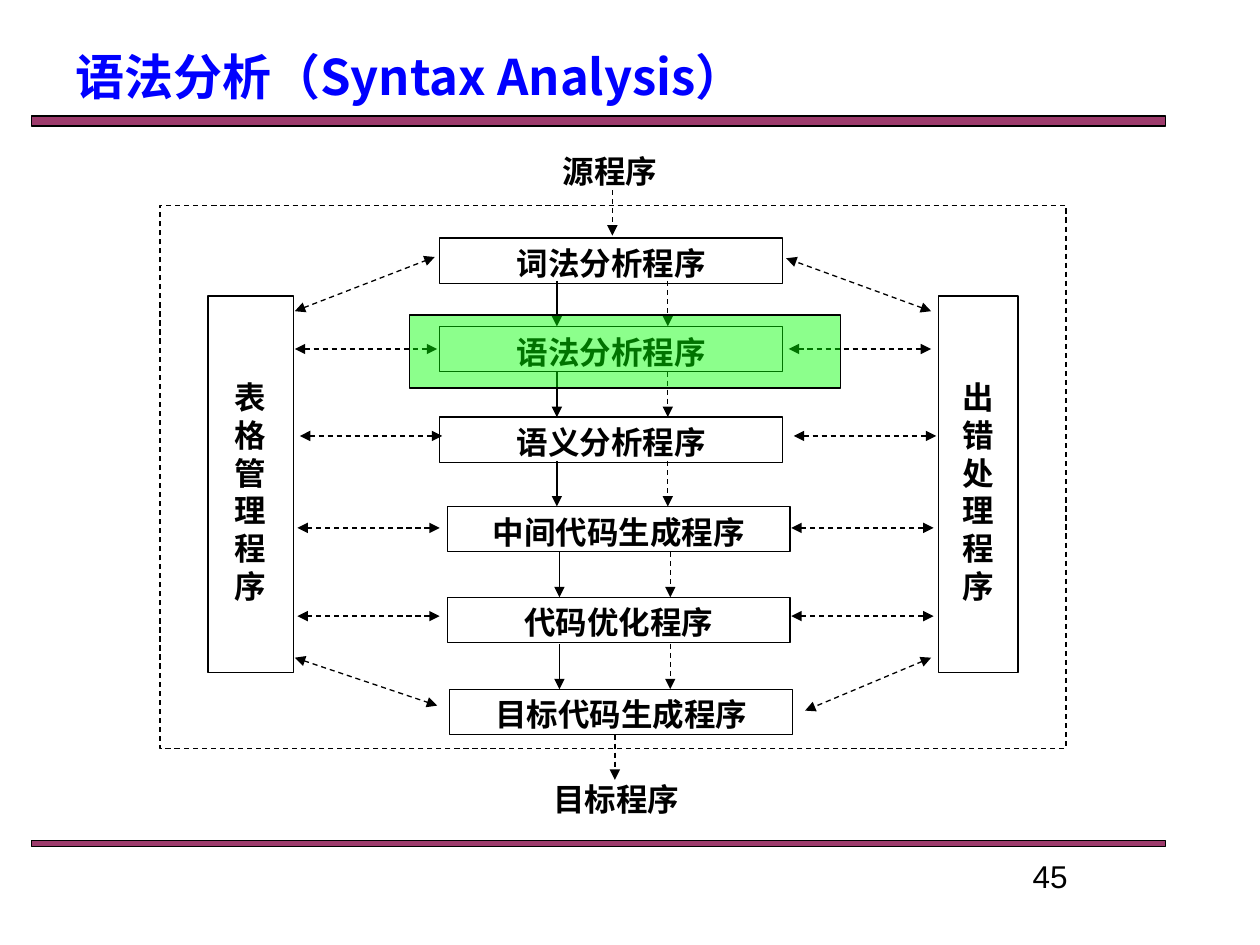
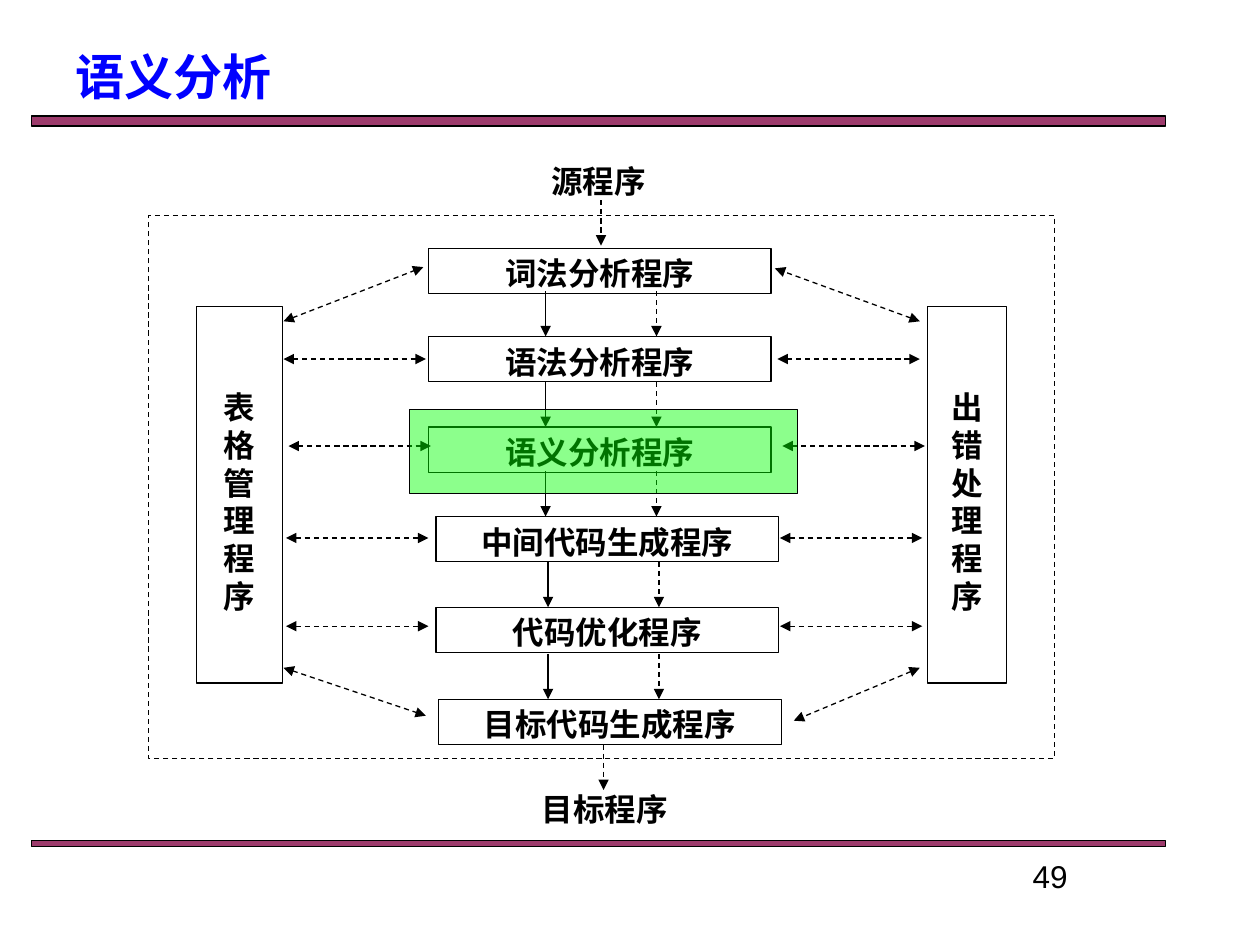
from lxml import etree
from pptx import Presentation
from pptx.dml.color import RGBColor
from pptx.enum.dml import MSO_LINE
from pptx.enum.shapes import MSO_CONNECTOR, MSO_SHAPE
from pptx.enum.text import MSO_ANCHOR, MSO_AUTO_SIZE, PP_ALIGN
from pptx.oxml.ns import qn
from pptx.util import Inches, Pt

RECT = MSO_SHAPE.RECTANGLE
STRAIGHT = MSO_CONNECTOR.STRAIGHT
DASH = MSO_LINE.DASH
LEFT, CENTER = PP_ALIGN.LEFT, PP_ALIGN.CENTER
TOP, MIDDLE = MSO_ANCHOR.TOP, MSO_ANCHOR.MIDDLE

BLACK = RGBColor(0x00, 0x00, 0x00)
WHITE = RGBColor(0xFF, 0xFF, 0xFF)
BLUE = RGBColor(0x00, 0x00, 0xFF)
PLUM = RGBColor(0x99, 0x33, 0x66)
GREEN = RGBColor(0x00, 0xFF, 0x00)

TITLE_FONT, DIAGRAM_FONT, NUMBER_FONT = "Noto Sans CJK SC", "Times New Roman", "Arial"

# All diagram positions are relative to the top left corner of its dashed frame.
FRAME_SIZE = (7.19, 4.31)
STAGE_W, STAGE_H = 2.72, 0.36
STAGES = [  # name, left, top
    ("词法分析程序", 2.22, 0.26),
    ("语法分析程序", 2.22, 0.96),
    ("语义分析程序", 2.22, 1.68),
    ("中间代码生成程序", 2.28, 2.39),
    ("代码优化程序", 2.28, 3.11),
    ("目标代码生成程序", 2.3, 3.84),
]
ENDS = [("源程序", 2.21, -0.47), ("目标程序", 2.26, 4.51)]
SIDES = [("表格管理程序", 0.38, 0.68), ("出错处理程序", 6.18, 0.63)]  # name, left, width
SIDE_TOP, SIDE_H = 0.72, 2.99
ARROW_LEN = 0.36
END_ARROWS = [(3.59, -0.12), (3.61, 4.2)]
STEP_ARROWS = [(3.15, None), (4.03, DASH)]  # x, dash
LEVEL_LINKS = [(1.07, 1.14), (1.11, 1.83), (1.09, 2.56), (1.09, 3.26)]
LINK_W, RIGHT_LINK_SHIFT = 1.13, 3.92
SLANTED_LINKS = [
    (1.07, 0.84, 2.18, 0.41),
    (1.07, 3.59, 2.2, 3.97),
    (6.12, 0.84, 4.97, 0.42),
    (6.12, 3.59, 5.12, 4.01),
]


def write(sp, text, size, font, color=BLACK, bold=False, align=CENTER, anchor=TOP):
    tf = sp.text_frame
    tf.word_wrap = True
    tf.auto_size = MSO_AUTO_SIZE.NONE
    tf.vertical_anchor = anchor
    tf.margin_left = tf.margin_right = Inches(0.1)
    tf.margin_top = tf.margin_bottom = Inches(0.05)
    p = tf.paragraphs[0]
    p.text = text
    p.alignment = align
    p.font.size = Pt(size)
    p.font.name = font
    p.font.bold = bold
    p.font.color.rgb = color


def add_box(shapes, box, fill=None, opacity=100, dash=None):
    """Add a thin black outlined rectangle; opacity is in percent."""
    sp = shapes.add_shape(RECT, *map(Inches, box))
    sp.shadow.inherit = False
    sp.line.color.rgb = BLACK
    sp.line.width = Pt(0.75)
    if dash:
        sp.line.dash_style = dash
    if fill is None:
        sp.fill.background()
    else:
        sp.fill.solid()
        sp.fill.fore_color.rgb = fill
        if opacity < 100:
            color = sp.element.spPr.find(f"{qn('a:solidFill')}/{qn('a:srgbClr')}")
            etree.SubElement(color, qn("a:alpha"), val=str(opacity * 1000))
    return sp


def add_arrow(shapes, x1, y1, x2, y2, dash=DASH, both_ends=False):
    line = shapes.add_connector(STRAIGHT, *map(Inches, (x1, y1, x2, y2)))
    line.line.color.rgb = BLACK
    line.line.width = Pt(0.75)
    if dash:
        line.line.dash_style = dash
    spPr = line.element.spPr
    ln = spPr.find(qn("a:ln"))
    for end in ("a:headEnd", "a:tailEnd") if both_ends else ("a:tailEnd",):
        etree.SubElement(ln, qn(end), type="triangle")
    etree.SubElement(spPr, qn("a:effectLst"))


def add_base(prs, title, number):
    """Add a slide with its title, two bands and page number."""
    slide = prs.slides.add_slide(prs.slide_layouts[5])
    for top, height in ((0.92, 0.08), (6.67, 0.05)):
        add_box(slide.shapes, (0.25, top, 9, height), PLUM, 96)
    sp = slide.shapes.title
    sp.left, sp.top, sp.width, sp.height = map(Inches, (0.5, 0.42, 9, 0.37))
    write(sp, title, 28, TITLE_FONT, BLUE, True, LEFT, MIDDLE)
    sp = slide.shapes.add_textbox(*map(Inches, (7.17, 6.75, 2.33, 0.42)))
    write(sp, number, 18, NUMBER_FONT)
    return slide


def add_boxes(shapes, x, y):
    """Add the frame, the stages, the side programs and the end labels."""
    add_box(shapes, (x, y, *FRAME_SIZE), dash=DASH)
    for name, left, top in STAGES:
        sp = add_box(shapes, (x + left, y + top, STAGE_W, STAGE_H), WHITE)
        write(sp, name, 18, DIAGRAM_FONT, bold=True)
    for name, left, top in ENDS:
        sp = shapes.add_textbox(*map(Inches, (x + left, y + top, STAGE_W, STAGE_H)))
        write(sp, name, 18, DIAGRAM_FONT, bold=True)
    for name, left, width in SIDES:
        sp = add_box(shapes, (x + left, y + SIDE_TOP, width, SIDE_H), WHITE)
        write(sp, name, 18, DIAGRAM_FONT, bold=True)
        sp.text_frame.margin_top = Inches(0.65)


def add_arrows(shapes, x, y):
    for left, top in END_ARROWS:
        add_arrow(shapes, x + left, y + top, x + left, y + top + ARROW_LEN)
    for i, (_, _, top) in enumerate(STAGES[1:]):
        shift = 0.02 if i >= 3 else 0
        for left, dash in STEP_ARROWS:
            step_x = x + left + shift
            add_arrow(shapes, step_x, y + top - ARROW_LEN, step_x, y + top, dash)
    for left, top in LEVEL_LINKS:
        for link_x in (x + left, x + left + RIGHT_LINK_SHIFT):
            add_arrow(shapes, link_x, y + top, link_x + LINK_W, y + top, both_ends=True)
    for x1, y1, x2, y2 in SLANTED_LINKS:
        add_arrow(shapes, x + x1, y + y1, x + x2, y + y2, both_ends=True)


def add_phase_slide(prs, title, number, corner, highlight):
    """Add the compiler diagram at corner, with one phase highlighted."""
    slide = add_base(prs, title, number)
    group = slide.shapes.add_group_shape()
    add_boxes(group.shapes, *corner)
    add_arrows(group.shapes, *corner)
    add_box(slide.shapes, highlight, GREEN, 45)


def main():
    prs = Presentation()
    prs.slide_width, prs.slide_height = Inches(10), Inches(7.5)
    add_phase_slide(prs, "语法分析（Syntax Analysis）", "45",
                    (1.27, 1.63), (3.25, 2.5, 3.42, 0.58))
    add_phase_slide(prs, "语义分析", "49",
                    (1.18, 1.71), (3.25, 3.25, 3.08, 0.67))
    prs.save("out.pptx")


if __name__ == "__main__":
    main()
